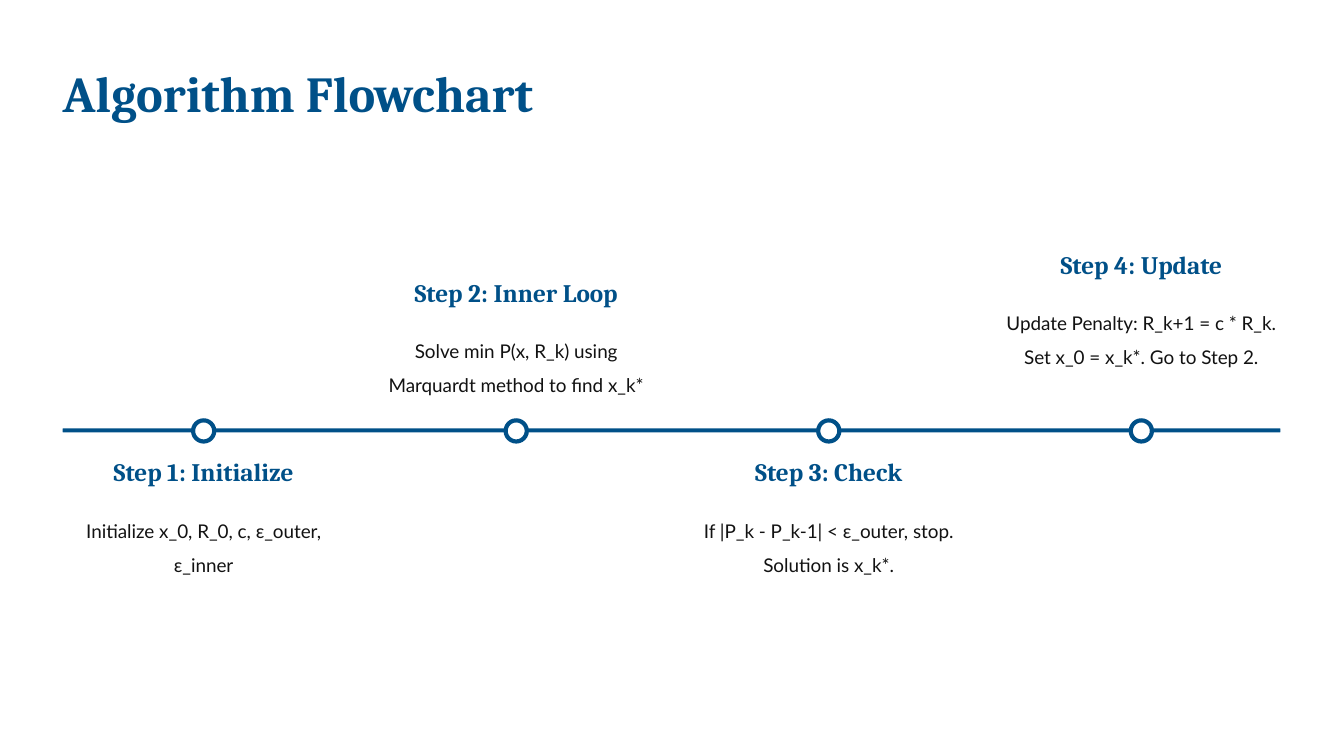
"""Build the algorithm flowchart slide: four steps along a timeline."""
from pptx import Presentation
from pptx.dml.color import RGBColor
from pptx.enum.shapes import MSO_SHAPE as Shape
from pptx.enum.text import MSO_AUTO_SIZE as AutoSize, PP_ALIGN as Align
from pptx.util import Inches, Pt

BLUE = RGBColor(0x00, 0x50, 0x88)
INK = RGBColor(0x12, 0x12, 0x12)
WHITE = RGBColor(0xFF, 0xFF, 0xFF)

STEP_CENTER, STEP_PITCH = 2.02, 3.1
HEADING_WIDTH, BODY_WIDTH = 2.92, 2.78
BODY_DROP = 0.51
DOT_SIZE = 0.21

STEPS = [
    ("Step 1: Initialize", "Initialize x_0, R_0, c, ε_outer, ε_inner", 4.53, 0.56),
    ("Step 2: Inner Loop", "Solve min P(x, R_k) using Marquardt method to find x_k*", 2.75, 0.56),
    ("Step 3: Check", "If |P_k - P_k-1| < ε_outer, stop. Solution is x_k*.", 4.53, 0.56),
    ("Step 4: Update", "Update Penalty: R_k+1 = c * R_k. Set x_0 = x_k*. Go to Step 2.", 2.47, 0.84),
]


class FlowSlide:
    """Hold the text styles and the page, and draw each kind of element."""

    styles = {
        "title": ({"name": "Cambria", "size": Pt(36), "bold": True}, BLUE,
                  {"alignment": Align.LEFT}),
        "heading": ({"name": "Cambria", "size": Pt(18), "bold": True}, BLUE,
                    {"alignment": Align.CENTER}),
        "body": ({"name": "Lato", "size": Pt(13.5), "bold": False}, INK,
                 {"alignment": Align.CENTER, "line_spacing": 1.5}),
    }
    frame_format = {
        "margin_left": 0, "margin_top": 0, "margin_right": 0, "margin_bottom": 0,
        "word_wrap": True, "auto_size": AutoSize.SHAPE_TO_FIT_TEXT,
    }

    def __init__(self, page):
        """Keep the page to draw on."""
        self.page = page

    @staticmethod
    def apply(target, values):
        """Set each named attribute on the target."""
        for name, value in values.items():
            setattr(target, name, value)

    def text(self, words, style, left, top, width, height):
        """Add a text box in one of the named styles."""
        font_format, color, para_format = self.styles[style]
        box = self.page.shapes.add_textbox(*map(Inches, (left, top, width, height)))
        self.apply(box.text_frame, self.frame_format)
        para = box.text_frame.paragraphs[0]
        self.apply(para, para_format)
        span = para.add_run()
        span.text = words
        self.apply(span.font, font_format)
        span.font.color.rgb = color

    def bar(self, left, top, width, height, fill, rounding, outline=None):
        """Add a rounded shape, with an outline if a colour is given."""
        shape = self.page.shapes.add_shape(
            Shape.ROUNDED_RECTANGLE, *map(Inches, (left, top, width, height)))
        shape.adjustments[0] = rounding
        shape.shadow.inherit = False
        shape.fill.solid()
        shape.fill.fore_color.rgb = fill
        if outline is None:
            shape.line.fill.background()
        else:
            shape.line.color.rgb = outline
            shape.line.width = Pt(3)

    def step(self, center, heading, body, top, body_height):
        """Add a step's heading and body, centred on its dot."""
        self.text(heading, "heading", center - HEADING_WIDTH / 2, top, HEADING_WIDTH, 0.32)
        self.text(body, "body", center - BODY_WIDTH / 2, top + BODY_DROP,
                  BODY_WIDTH, body_height)

    def dot(self, center):
        """Add a ring on the timeline."""
        self.bar(center - DOT_SIZE / 2, 4.17, DOT_SIZE, DOT_SIZE, WHITE, 0.5, BLUE)


def main():
    """Draw the slide and save the deck."""
    deck = Presentation()
    deck.slide_width, deck.slide_height = Inches(13.33), Inches(7.5)
    flow = FlowSlide(deck.slides.add_slide(deck.slide_layouts[6]))
    flow.text("Algorithm Flowchart", "title", 0.62, 0.62, 12.69, 0.62)
    flow.bar(0.62, 4.25, 12.08, 0.04, BLUE, 0.17)
    for index, step in enumerate(STEPS):
        center = STEP_CENTER + index * STEP_PITCH
        flow.step(center, *step)
        flow.dot(center)
    deck.save("out.pptx")


if __name__ == "__main__":
    main()
